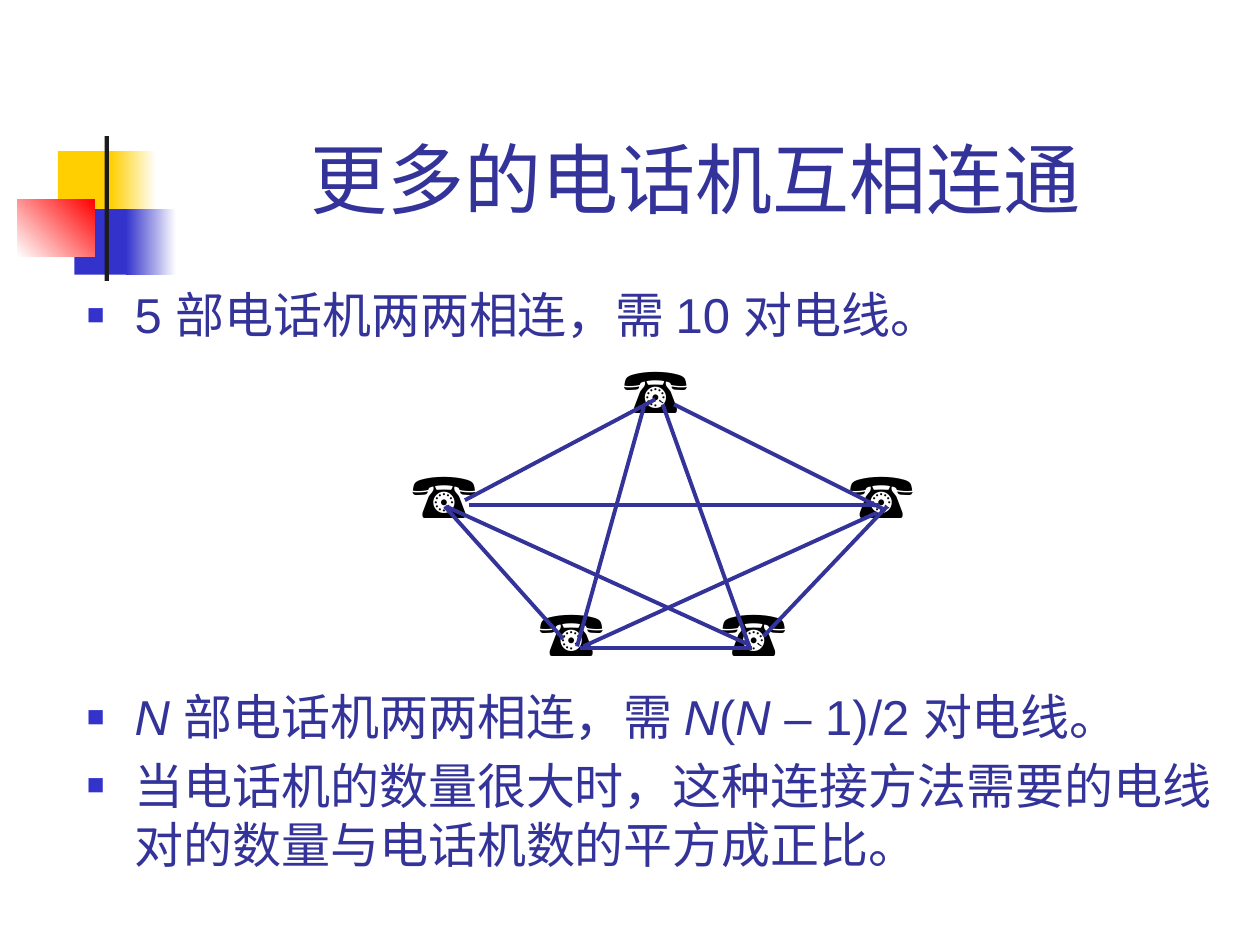
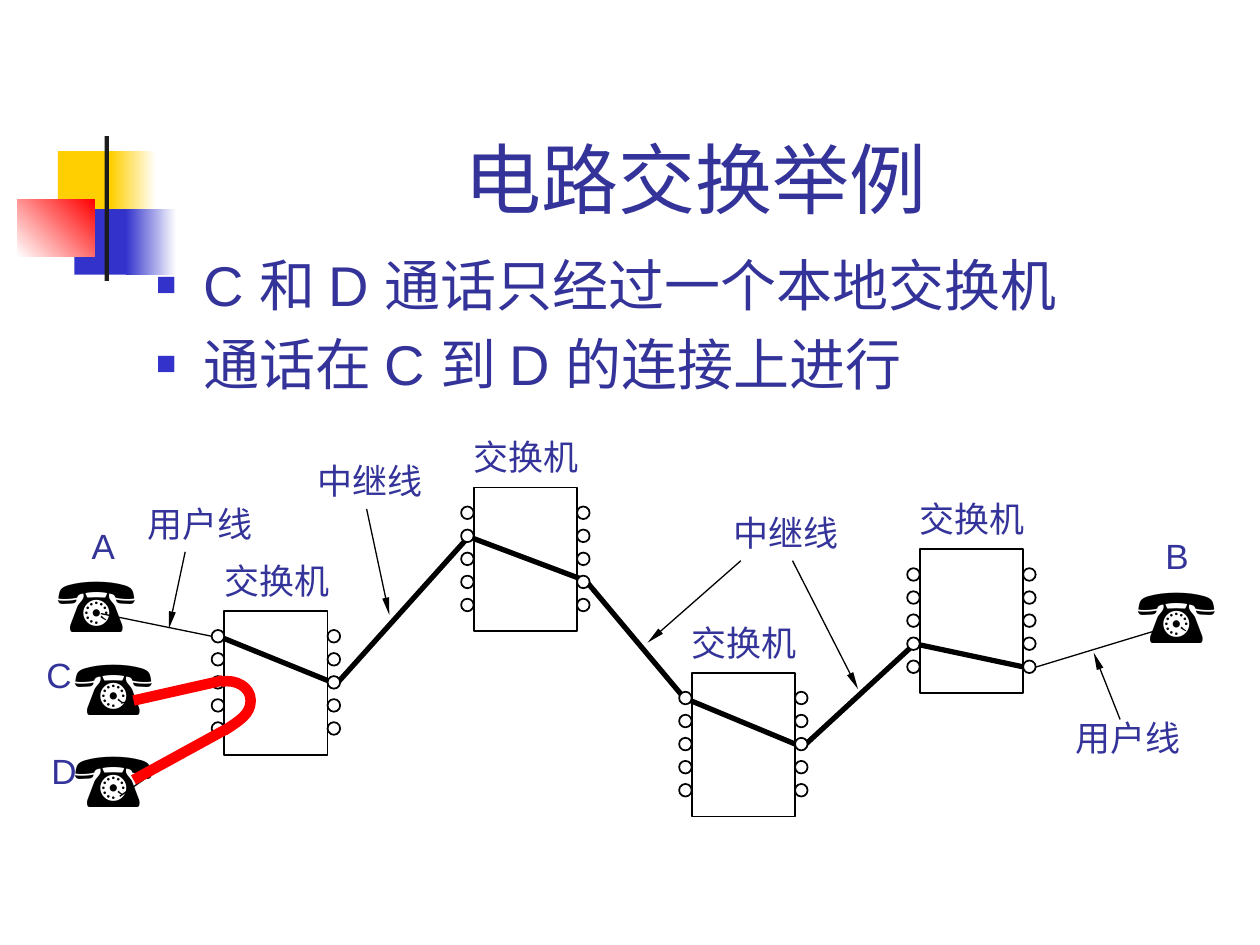
from itertools import combinations

from lxml import etree
from pptx import Presentation
from pptx.dml.color import RGBColor
from pptx.enum.shapes import MSO_CONNECTOR, MSO_SHAPE
from pptx.enum.text import MSO_ANCHOR, MSO_AUTO_SIZE, PP_ALIGN
from pptx.oxml.ns import qn
from pptx.util import Inches, Pt

RECT, OVAL = MSO_SHAPE.RECTANGLE, MSO_SHAPE.OVAL
STRAIGHT = MSO_CONNECTOR.STRAIGHT
TOP, BOTTOM = MSO_ANCHOR.TOP, MSO_ANCHOR.BOTTOM
LEFT, CENTER = PP_ALIGN.LEFT, PP_ALIGN.CENTER
FIT, NO_FIT = MSO_AUTO_SIZE.SHAPE_TO_FIT_TEXT, MSO_AUTO_SIZE.NONE

WIDTH, HEIGHT = Inches(10), Inches(7.5)
COLUMNS, ROWS = 100, 75  # every position below counts in these grid cells

INK, BLUE, YELLOW, RED = "333399", "3333CC", "FFCF01", "FF0000"
BLACK, WHITE, BAR = "000000", "FFFFFF", "1C1C1C"
SANS, SERIF = "Arial", "Times New Roman"
PHONE = "☎"


def rgb(hex_colour):
    return RGBColor.from_string(hex_colour)


def col(count):
    return round(count * WIDTH / COLUMNS)


def row(count):
    return round(count * HEIGHT / ROWS)


def frame(at):
    left, top, width, height = at
    return col(left), row(top), col(width), row(height)


def bezier(start, first, second, end, steps=8):
    """Points of a cubic curve after its start."""
    points = []
    for step in range(1, steps + 1):
        t = step / steps
        weights = ((1 - t) ** 3, 3 * t * (1 - t) ** 2, 3 * t * t * (1 - t), t ** 3)
        corners = (start, first, second, end)
        points.append(tuple(sum(w * corner[axis] for w, corner in zip(weights, corners))
                            for axis in (0, 1)))
    return points


class Deck:
    def __init__(self):
        self.presentation = Presentation()
        self.presentation.slide_width = WIDTH
        self.presentation.slide_height = HEIGHT
        self.shapes = None

    def new_slide(self, title):
        layout = self.presentation.slide_layouts[6]
        self.shapes = self.presentation.slides.add_slide(layout).shapes
        self.emblem()
        self.text((12.6, 2.3, 85.2, 16), title, size=44, align=CENTER, anchor=BOTTOM)

    def emblem(self):
        self.shape((4.6, 12, 4.8, 5.2), YELLOW)
        self.shape((8.8, 12, 3.6, 5.2), (YELLOW, WHITE))
        self.shape((5.9, 16.6, 4.6, 5.2), BLUE)
        self.shape((10, 16.6, 4, 5.2), (BLUE, WHITE))
        self.shape((1.4, 15.8, 6.1, 4.6), (WHITE, RED), angle=45)
        self.shape((8.3, 10.8, 0.35, 11.5), BAR)

    def shape(self, at, fill=None, line=None, kind=RECT, angle=0):
        """Draw a preset shape; a pair of fill colours makes a gradient."""
        shape = self.shapes.add_shape(kind, *frame(at))
        shape.shadow.inherit = False
        if fill is None:
            shape.fill.background()
        elif isinstance(fill, tuple):
            shape.fill.gradient()
            shape.fill.gradient_angle = angle
            for stop, colour in zip(shape.fill.gradient_stops, fill):
                stop.color.rgb = rgb(colour)
        else:
            shape.fill.solid()
            shape.fill.fore_color.rgb = rgb(fill)
        if line:
            shape.line.color.rgb = rgb(line)
            shape.line.width = Pt(1)
        else:
            shape.line.fill.background()

    def line(self, start, end, colour=BLACK, weight=0.75, arrow=False):
        line = self.shapes.add_connector(STRAIGHT, col(start[0]), row(start[1]),
                                         col(end[0]), row(end[1]))
        line.line.color.rgb = rgb(colour)
        line.line.width = Pt(weight)
        properties = line.element.spPr
        etree.SubElement(properties, qn("a:effectLst"))
        if arrow:
            etree.SubElement(properties.find(qn("a:ln")), qn("a:tailEnd"),
                             type="triangle", w="sm", len="lg")

    def path_through(self, points, colour, weight):
        cells = [(col(x), row(y)) for x, y in points]
        builder = self.shapes.build_freeform(*cells[0])
        builder.add_line_segments(cells[1:], close=False)
        outline = builder.convert_to_shape()
        outline.shadow.inherit = False
        outline.fill.background()
        outline.line.color.rgb = rgb(colour)
        outline.line.width = Pt(weight)

    def text(self, at, *paragraphs, size=20, font=SANS, colour=INK, align=LEFT,
             anchor=TOP, wrap=True, bullet=False):
        """Write paragraphs; words between asterisks are italic."""
        body = self.shapes.add_textbox(*frame(at)).text_frame
        body.word_wrap = wrap
        body.auto_size = NO_FIT if wrap else FIT
        body.vertical_anchor = anchor
        for number, words in enumerate(paragraphs):
            paragraph = body.add_paragraph() if number else body.paragraphs[0]
            paragraph.alignment = align
            if bullet:
                self.add_bullet(paragraph)
            if number:
                paragraph.space_before = Pt(size * 0.2)
            for part, piece in enumerate(words.split("*")):
                if piece:
                    run = paragraph.add_run()
                    run.text = piece
                    run.font.size = Pt(size)
                    run.font.name = font
                    run.font.color.rgb = rgb(colour)
                    run.font.italic = part % 2 == 1

    def add_bullet(self, paragraph):
        properties = paragraph._p.get_or_add_pPr()
        indent = Inches(0.38)
        properties.set("marL", str(indent))
        properties.set("indent", str(-indent))
        colour = etree.SubElement(properties, qn("a:buClr"))
        etree.SubElement(colour, qn("a:srgbClr"), val=BLUE)
        etree.SubElement(properties, qn("a:buSzPct"), val="60000")
        etree.SubElement(properties, qn("a:buFont"), typeface=SANS)
        etree.SubElement(properties, qn("a:buChar"), char="■")

    def label(self, left, top, words, width=11, font=SERIF):
        self.text((left, top, width, 4.3), words, font=font, wrap=False)

    def phone(self, left, top, width, height, size, font):
        self.text((left, top, width, height), PHONE, size=size, font=font,
                  colour=BLACK, wrap=False)

    def switch(self, left, top):
        """Draw a switch with five ports down each side and its label."""
        width, height, port = 8.2, 11.4, 1
        self.shape((left, top, width, height), line=BLACK)
        for side in (left - port, left + width):
            for number in range(5):
                self.shape((side, top + 1.5 + 1.83 * number, port, port),
                           WHITE, BLACK, OVAL)
        self.label(left - 1, top - 4.6, "交换机")


def mesh_slide(deck):
    deck.new_slide("更多的电话机互相连通")
    deck.text((5.9, 22.1, 94.1, 6), "5 部电话机两两相连，需 10 对电线。",
              size=28, bullet=True)
    deck.text((5.9, 54, 94.1, 18),
              "*N* 部电话机两两相连，需 *N*(*N* – 1)/2 对电线。",
              "当电话机的数量很大时，这种连接方法需要的电线对的数量与电话机数的平方成正比。",
              size=28, bullet=True)
    phones = {"top": (48.5, 27.3), "left": (31.7, 35.7), "low left": (41.8, 46.6),
              "right": (66.4, 35.7), "low right": (56.3, 46.6)}
    for left, top in phones.values():
        deck.phone(left, top, 8.7, 7, 36, SERIF)
    wire_ends = {
        ("top", "left"): ((52, 31.7), (36.9, 39.7)),
        ("top", "low left"): ((51.1, 32.3), (45.8, 51.3)),
        ("top", "right"): ((53.5, 32.1), (70.3, 40.5)),
        ("top", "low right"): ((52.6, 32.1), (59.5, 51.4)),
        ("left", "low left"): ((35.3, 40.2), (44.7, 50.7)),
        ("left", "right"): ((37.2, 40.1), (69.8, 40.1)),
        ("left", "low right"): ((35.4, 40.2), (59.5, 51.2)),
        ("low left", "right"): ((46.3, 51.3), (69.6, 40.7)),
        ("low left", "low right"): ((46, 51.4), (59.7, 51.4)),
        ("right", "low right"): ((70.4, 40.2), (60.6, 50.5)),
    }
    for pair in combinations(phones, 2):
        deck.line(*wire_ends[pair], colour=INK, weight=2.25)


def circuit_slide(deck):
    deck.new_slide("电路交换举例")
    deck.text((11.4, 19.4, 85, 45), "C 和 D 通话只经过一个本地交换机",
              "通话在 C 到 D 的连接上进行", size=32, bullet=True)

    subscriber_lines = [((9.5, 63.2), (17.3, 57.8)), ((9.6, 55.8), (17.4, 54.3)),
                        ((81.7, 53.1), (91.9, 50)), ((8, 48.7), (17.3, 50.6))]
    for start, end in subscriber_lines:
        deck.line(start, end)
    trunk = [(17.1, 50.4), (26.7, 54.3), (37.2, 42.6), (46.5, 46.1), (54.3, 55.4),
             (63.7, 59.3), (72.6, 51.1), (82, 53.1)]
    deck.path_through(trunk, BLACK, 3)

    for left, top in [(17.8, 48.5), (37.6, 38.7), (54.9, 53.4), (73, 43.6)]:
        deck.switch(left, top)
    for left, top in [(3.6, 43.6), (89.3, 44.5), (4.9, 50.2), (4.9, 57.5)]:
        deck.phone(left, top, 8.6, 8.3, 44, SANS)

    pointers = [((14.7, 43.8), (13.4, 49.9)), ((88.9, 57.1), (86.8, 51.8)),
                ((58.8, 44.5), (51.4, 51)), ((62.9, 44.5), (68.1, 54.7)),
                ((29.1, 40.4), (30.9, 48.8))]
    for start, end in pointers:
        deck.line(start, end, arrow=True)
    for left, top, words in [(10.7, 39.4, "用户线"), (84.4, 56.4, "用户线"),
                             (57.2, 40.1, "中继线"), (24.2, 36, "中继线")]:
        deck.label(left, top, words)
    for left, top, party in [(6.3, 41.1, "A"), (91.5, 41.9, "B"),
                             (2.7, 51.4, "C"), (3.1, 59, "D")]:
        deck.label(left, top, party, width=4, font=SANS)

    loop_start, loop_turn, loop_end = (17.6, 54.1), (19.9, 55.6), (17.8, 58)
    local_loop = [loop_start,
                  *bezier(loop_start, (18.7, 53.9), (19.9, 54.5), loop_turn),
                  *bezier(loop_turn, (19.9, 56.7), (19, 57.2), loop_end)]
    deck.path_through(local_loop, RED, 6)
    deck.line((10.6, 55.6), (17.7, 54), RED, 6)
    deck.line((10.6, 61.9), (17.9, 57.9), RED, 6)


def main():
    deck = Deck()
    mesh_slide(deck)
    circuit_slide(deck)
    deck.presentation.save("out.pptx")


if __name__ == "__main__":
    main()
